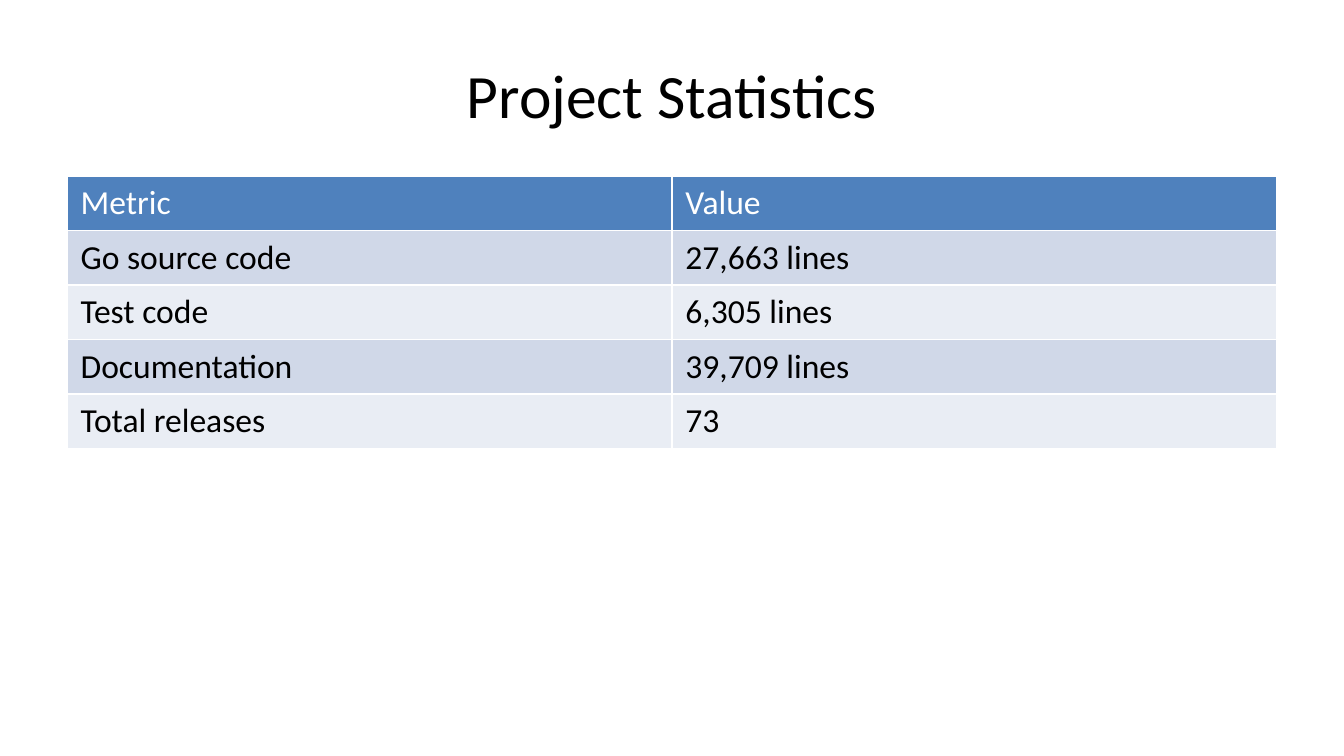
from pptx import Presentation
from pptx.dml.color import RGBColor
from pptx.enum.text import MSO_ANCHOR, PP_ALIGN
from pptx.util import Cm, Pt

# Content
TITLE = "Project Statistics"
ROWS = [
    ("Metric", "Value"),
    ("Go source code", "27,663 lines"),
    ("Test code", "6,305 lines"),
    ("Documentation", "39,709 lines"),
    ("Total releases", "73"),
]

# Formats
HEADER_FILL = "4F81BD"
BAND_FILLS = ("D0D8E8", "E9EDF4")
TITLE_FONT = {"name": "Calibri", "size": Pt(33), "bold": False}
CELL_FONT = {"name": "Calibri", "size": Pt(18), "bold": False}

# Layout in centimetres
SLIDE_W, SLIDE_H = 25.4, 14.29
MARGIN = 1.27
CONTENT_W = SLIDE_W - 2 * MARGIN
TITLE_TOP, TITLE_H = 0.58, 2.39
TABLE_TOP, ROW_H = 3.33, 1.03


def rgb(hex_code):
    return RGBColor.from_string(hex_code)


def write(tf, text, font, color):
    p = tf.paragraphs[0]
    r = p.add_run()
    r.text = text
    for name, value in font.items():
        setattr(r.font, name, value)
    r.font.color.rgb = rgb(color)
    return p


prs = Presentation()
prs.slide_width, prs.slide_height = Cm(SLIDE_W), Cm(SLIDE_H)
s = prs.slides.add_slide(prs.slide_layouts[6])

# Title
tf = s.shapes.add_textbox(
    Cm(MARGIN), Cm(TITLE_TOP), Cm(CONTENT_W), Cm(TITLE_H)
).text_frame
tf.word_wrap = True
tf.vertical_anchor = MSO_ANCHOR.MIDDLE
write(tf, TITLE, TITLE_FONT, "000000").alignment = PP_ALIGN.CENTER

# Statistics table: header row, then alternating bands
table = s.shapes.add_table(
    len(ROWS), len(ROWS[0]),
    Cm(MARGIN), Cm(TABLE_TOP), Cm(CONTENT_W), Cm(ROW_H * len(ROWS)),
).table
for i, row in enumerate(ROWS):
    fill = BAND_FILLS[(i - 1) % 2] if i else HEADER_FILL
    color = "000000" if i else "FFFFFF"
    for j, text in enumerate(row):
        cell = table.cell(i, j)
        cell.fill.solid()
        cell.fill.fore_color.rgb = rgb(fill)
        write(cell.text_frame, text, CELL_FONT, color)

prs.save("out.pptx")
